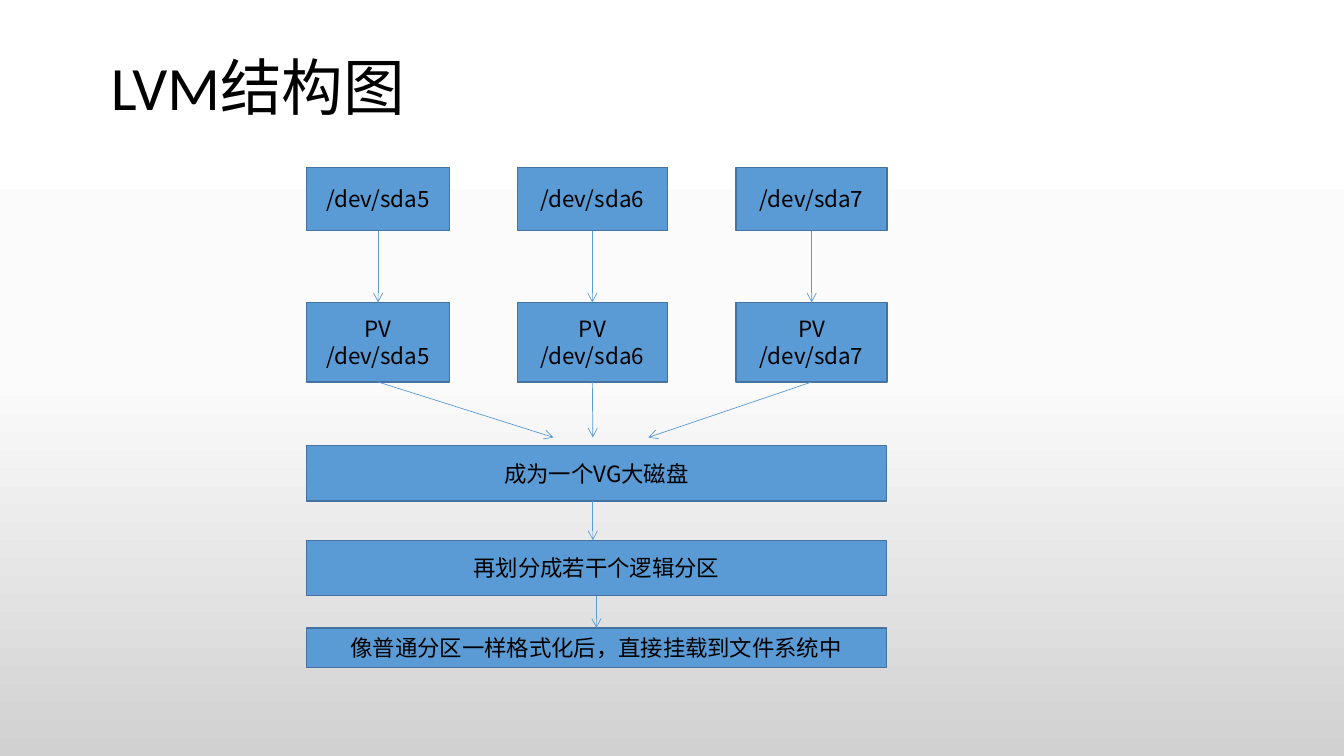
from copy import deepcopy

from pptx import Presentation
from pptx.dml.color import RGBColor as RGB
from pptx.enum.shapes import MSO_CONNECTOR as CONN, MSO_SHAPE as SHAPE
from pptx.enum.text import MSO_ANCHOR as ANCHOR, PP_ALIGN as ALIGN
from pptx.oxml.ns import qn
from pptx.util import Inches, Pt
from lxml.etree import SubElement

COLORS = {"box": "5B9BD5", "edge": "43739E", "text": "000000"}
BACKDROP = [(0, "FFFFFF"), (0.5, "FBFBFB"), (1, "D1D1D1")]
CJK = "Noto Sans CJK SC"
BOTTOM, TOP = 2, 0


class Deck:
    def __init__(self, width, height):
        self.prs = Presentation()
        self.prs.slide_width, self.prs.slide_height = Inches(width), Inches(height)
        self.s = self.prs.slides.add_slide(self.prs.slide_layouts[5])

    def color(self, name):
        return RGB.from_string(COLORS[name])

    def background(self, stops):
        fill = self.s.background.fill
        fill.gradient()
        fill.gradient_angle = 270
        first = next(self.s._element.iter(qn("a:gs")))
        first.addnext(deepcopy(first))
        for stop, (pos, value) in zip(fill.gradient_stops, stops):
            stop.position, stop.color.rgb = pos, RGB.from_string(value)

    def set_text(self, sp, lines, size, font, align, spacing=1.0):
        tf = sp.text_frame
        tf.word_wrap, tf.vertical_anchor = True, ANCHOR.MIDDLE
        tf.text = "\n".join(lines)
        for p in tf.paragraphs:
            p.alignment, p.line_spacing = align, spacing
            for r in p.runs:
                for key, value in {"size": Pt(size), "name": font}.items():
                    setattr(r.font, key, value)
                r.font.color.rgb = self.color("text")
                SubElement(r._r.get_or_add_rPr(), qn("a:ea")).set("typeface", CJK)

    def title(self, text, x, y, w, h):
        sp = self.s.shapes.title
        for key, value in {"left": x, "top": y, "width": w, "height": h}.items():
            setattr(sp, key, Inches(value))
        self.set_text(sp, [text], 44, "Calibri", ALIGN.LEFT, 0.9)

    def box(self, lines, x, y, w, h):
        sp = self.s.shapes.add_shape(SHAPE.RECTANGLE, *map(Inches, (x, y, w, h)))
        sp.shadow.inherit = False
        sp.fill.solid()
        sp.fill.fore_color.rgb = self.color("box")
        sp.line.color.rgb = self.color("edge")
        sp.line.width = Pt(1)
        self.set_text(sp, lines, 16, CJK, ALIGN.CENTER)
        return sp

    def arrow(self, start, end, source=None, target=None):
        cx = self.s.shapes.add_connector(CONN.STRAIGHT, *map(Inches, start + end))
        if source is not None:
            cx.begin_connect(source, BOTTOM)
        if target is not None:
            cx.end_connect(target, TOP)
        cx.line.color.rgb = self.color("box")
        cx.line.width = Pt(0.5)
        SubElement(cx.line._get_or_add_ln(), qn("a:tailEnd")).set("type", "arrow")
        SubElement(cx._element.spPr, qn("a:effectLst"))


def main():
    deck = Deck(13.33, 7.5)
    deck.background(BACKDROP)
    deck.title("LVM结构图", 1, 0.42, 11.25, 0.95)

    # Partitions, each becoming a physical volume that points at the group
    columns = [("/dev/sda5", 3.04, 1.42, 5.49),
               ("/dev/sda6", 5.13, 1.49, 5.88),
               ("/dev/sda7", 7.3, 1.5, 6.43)]
    for device, x, w, tip in columns:
        mid = x + w / 2
        partition = deck.box([device], x, 1.66, w, 0.63)
        volume = deck.box(["PV", device], x, 3, w, 0.79)
        deck.arrow((mid, 2.29), (mid, 3), partition, volume)
        deck.arrow((mid, 3.79), (tip, 4.34), volume)

    # Volume group, logical partitions and mounting
    steps = [("成为一个VG大磁盘", 4.42, 0.55),
             ("再划分成若干个逻辑分区", 5.36, 0.55),
             ("像普通分区一样格式化后，直接挂载到文件系统中", 6.23, 0.39)]
    group, logical, mount = [deck.box([text], 3.04, y, 5.75, h) for text, y, h in steps]
    deck.arrow((5.88, 4.97), (5.88, 5.36))
    deck.arrow((5.92, 5.91), (5.92, 6.23), logical, mount)

    deck.prs.save("out.pptx")


if __name__ == "__main__":
    main()
